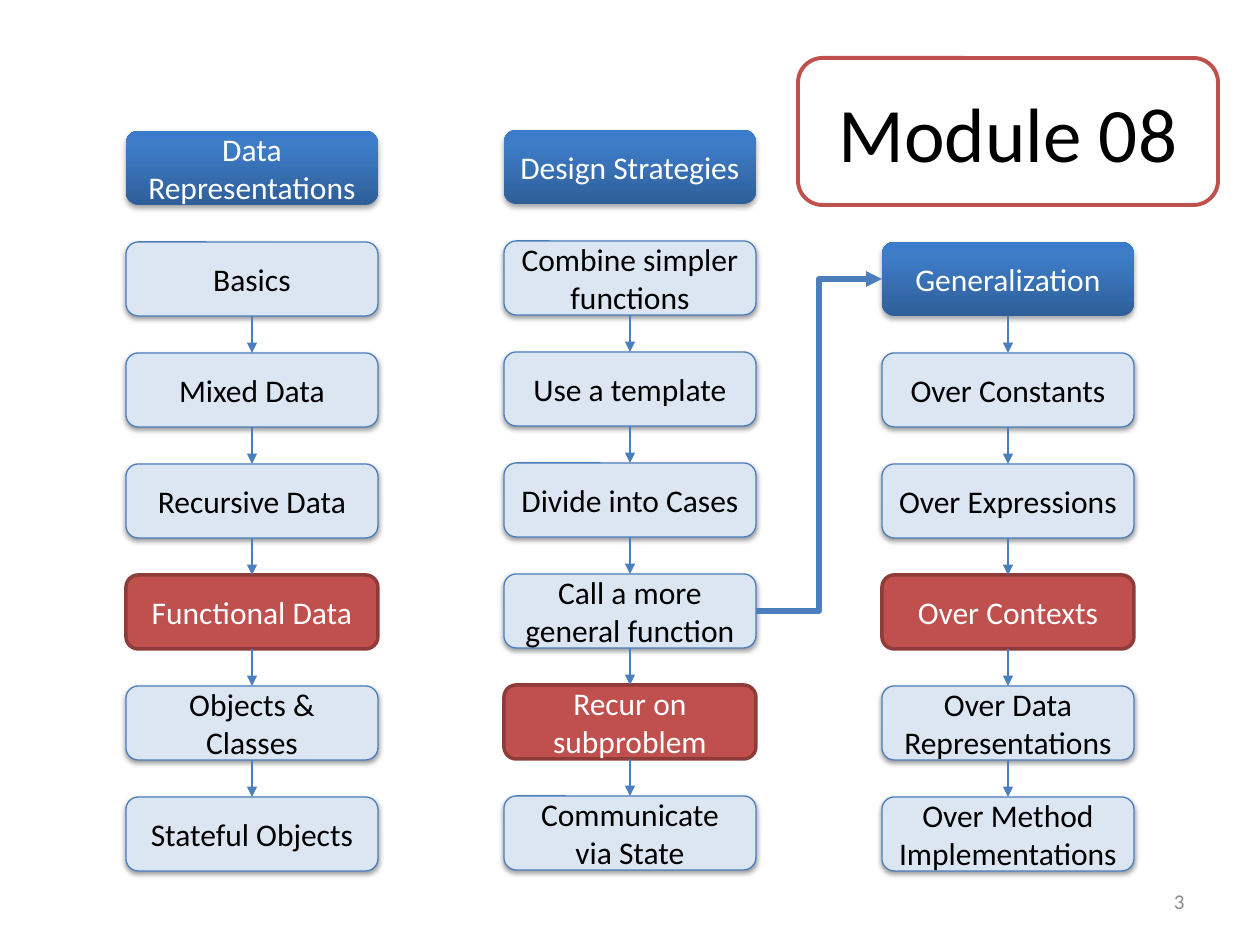
from copy import deepcopy
from dataclasses import dataclass

from lxml import etree
from pptx import Presentation
from pptx import util as u
from pptx.dml.color import RGBColor
from pptx.enum import shapes, text
from pptx.oxml import ns

PX = 914400 / 126


@dataclass(frozen=True)
class Theme:
    font: str = "Calibri"
    ink: str = "000000"
    paper: str = "FFFFFF"
    blue: str = "4B7EBC"
    pale: str = "DCE6F2"
    red: str = "C0504D"
    dark_red: str = "8E3B39"
    grey: str = "8C8C8C"
    gradient: tuple = ((0, "2F5F99"), (0.8, "3D7CC7"), (1, "3A7CCB"))
    title_size: int = 44
    box_size: int = 18
    number_size: int = 12


def px(*lengths):
    return [u.Emu(round(length * PX)) for length in lengths]


def rgb(colour):
    return RGBColor.from_string(colour)


def child(parent, tag, **attributes):
    return etree.SubElement(parent, ns.qn(tag), attributes)


class Deck:
    def __init__(self, theme):
        self.theme = theme
        self.file = Presentation()
        self.file.slide_width, self.file.slide_height = px(1260, 945)
        self.slide = self.file.slides.add_slide(self.file.slide_layouts[5])

    def label(self, shape, words, size, colour, align=text.PP_ALIGN.CENTER):
        frame = shape.text_frame
        frame.text = words
        frame.word_wrap = True
        frame.vertical_anchor = text.MSO_ANCHOR.MIDDLE
        paragraph = frame.paragraphs[0]
        paragraph.alignment = align
        font = paragraph.runs[0].font
        font.name, font.size = self.theme.font, u.Pt(size)
        font.color.rgb = rgb(colour)

    def outline(self, shape, colour, width):
        shape.line.color.rgb = rgb(colour)
        shape.line.width = u.Pt(width)

    def rounded(self, left, top, width, height):
        shape = self.slide.shapes.add_shape(
            shapes.MSO_SHAPE.ROUNDED_RECTANGLE, *px(left, top, width, height))
        shape.shadow.inherit = False
        return shape

    def cast_shadow(self, shape, distance, opacity):
        effects = shape._element.spPr.find(ns.qn("a:effectLst"))
        shadow = child(effects, "a:outerShdw", blurRad=str(u.Pt(3.1)),
                       dist=str(u.Pt(distance)), dir="5400000", rotWithShape="0")
        black = child(shadow, "a:srgbClr", val=self.theme.ink)
        child(black, "a:alpha", val=str(opacity * 1000))

    def title(self, words, left, top, width, height):
        frame = self.rounded(left, top, width, height)
        frame.fill.background()
        self.outline(frame, self.theme.red, 2.25)
        title = self.slide.shapes.title
        title.left, title.top, title.width, title.height = px(left, top, width, height)
        self.label(title, words, self.theme.title_size, self.theme.ink)

    def header(self, words, *place):
        box = self.rounded(*place)
        box.fill.gradient()
        box.fill.gradient_angle = 90
        stops = box._element.spPr.find(ns.qn("a:gradFill")).find(ns.qn("a:gsLst"))
        stops.append(deepcopy(stops[-1]))
        for stop, (position, colour) in zip(box.fill.gradient_stops, self.theme.gradient):
            stop.position = position
            stop.color.rgb = rgb(colour)
        box.line.fill.background()
        self.cast_shadow(box, 1.8, 35)
        self.label(box, words, self.theme.box_size, self.theme.paper)
        return box

    def topic(self, words, *place, current=False):
        theme = self.theme
        box = self.rounded(*place)
        box.fill.solid()
        box.fill.fore_color.rgb = rgb(theme.red if current else theme.pale)
        if current:
            self.outline(box, theme.dark_red, 2)
        else:
            self.outline(box, theme.blue, 0.75)
            self.cast_shadow(box, 1.6, 38)
        self.label(box, words, theme.box_size, theme.paper if current else theme.ink)
        return box

    def arrow(self, start, start_site, end, end_site, width=0.75,
              kind=shapes.MSO_CONNECTOR.STRAIGHT):
        arrow = self.slide.shapes.add_connector(kind, 0, 0, 0, 0)
        arrow.begin_connect(start, start_site)
        arrow.end_connect(end, end_site)
        self.outline(arrow, self.theme.blue, width)
        properties = arrow._element.spPr
        child(properties.find(ns.qn("a:ln")), "a:tailEnd", type="triangle")
        child(properties, "a:effectLst")

    def page_number(self, words, *place):
        box = self.slide.shapes.add_textbox(*px(*place))
        self.label(box, words, self.theme.number_size, self.theme.grey,
                   text.PP_ALIGN.RIGHT)


TOP, LEFT, BOTTOM, SIDE = range(4)
BOX_WIDTH, BOX_HEIGHT, ROW_PITCH = 252, 74, 111

COLUMNS = [
    (126, 131, "Data Representations",
     ["Basics", "Mixed Data", "Recursive Data", "Functional Data",
      "Objects & Classes", "Stateful Objects"]),
    (504, 130, "Design Strategies",
     ["Combine simpler functions", "Use a template", "Divide into Cases",
      "Call a more general function", "Recur on subproblem",
      "Communicate via State"]),
    (882, 242, "Generalization",
     ["Over Constants", "Over Expressions", "Over Contexts",
      "Over Data Representations", "Over Method Implementations"]),
]
CURRENT = {"Functional Data", "Recur on subproblem", "Over Contexts"}


def main():
    deck = Deck(Theme())
    deck.title("Module 08", 798, 58, 420, 147)
    boxes = {}
    for left, top, heading, topics in COLUMNS:
        boxes[heading] = deck.header(heading, left, top, BOX_WIDTH, BOX_HEIGHT)
        for row, topic in enumerate(topics, 1):
            boxes[topic] = deck.topic(topic, left, top + row * ROW_PITCH,
                                      BOX_WIDTH, BOX_HEIGHT, current=topic in CURRENT)
        chain = [heading, *topics] if heading == "Generalization" else topics
        for upper, lower in zip(chain, chain[1:]):
            deck.arrow(boxes[upper], BOTTOM, boxes[lower], TOP)
    deck.arrow(boxes["Call a more general function"], SIDE,
               boxes["Generalization"], LEFT, 3, shapes.MSO_CONNECTOR.ELBOW)
    deck.page_number("3", 903, 876, 294, 50)
    deck.file.save("out.pptx")


if __name__ == "__main__":
    main()
